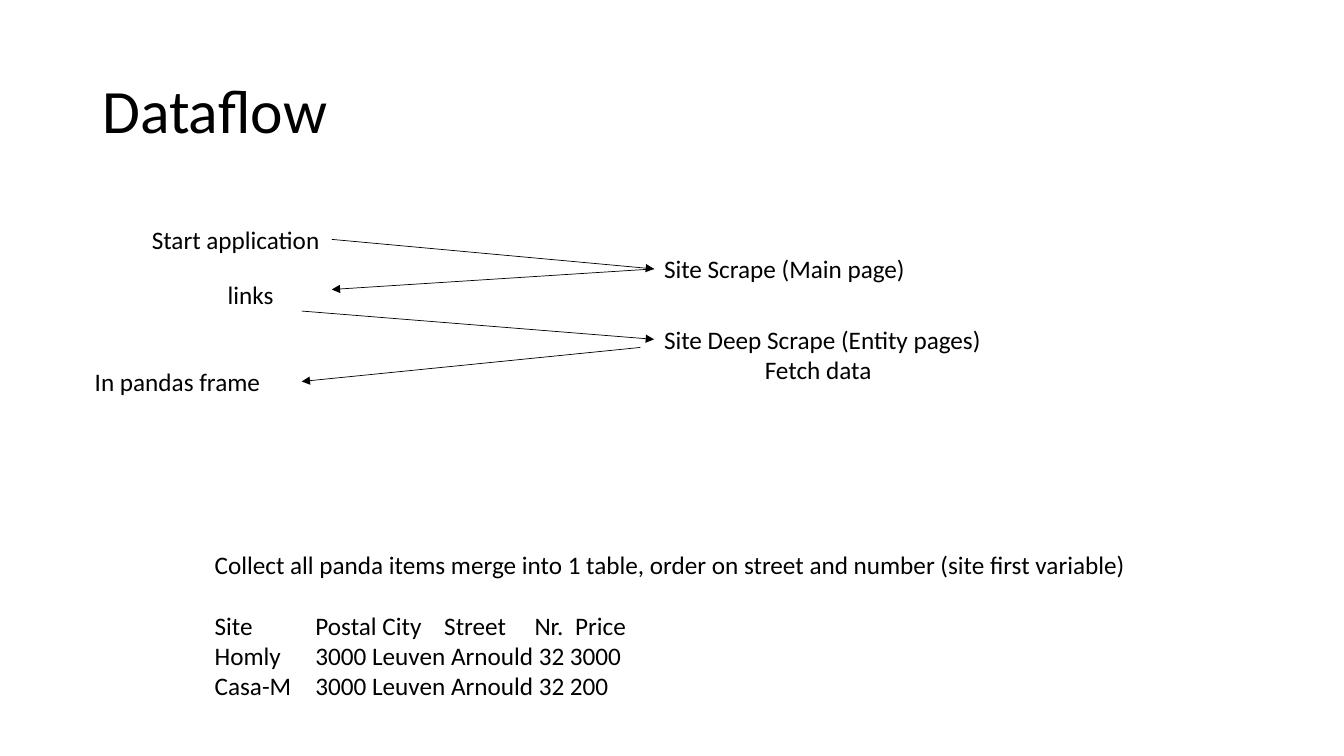
import pptx
import pptx.dml.color
import pptx.enum.shapes
import pptx.enum.text
import pptx.oxml.ns
import pptx.util
import lxml.etree

Pt = pptx.util.Pt
COLORS = {"ink": "000000", "paper": "FFFFFF"}


class DataflowSlide:
    font_name = "Calibri"
    text_size = 18
    line_width = 0.5

    def __init__(self, deck):
        self.slide = deck.slides.add_slide(deck.slide_layouts[6])
        fill = self.slide.background.fill
        fill.solid()
        fill.fore_color.rgb = self.color("paper")

    def color(self, name):
        return pptx.dml.color.RGBColor.from_string(COLORS[name])

    def style(self, para, size):
        para.font.name = self.font_name
        para.font.size = Pt(size)
        para.font.color.rgb = self.color("ink")

    def set_tabs(self, para, stops):
        properties = para._p.get_or_add_pPr()
        tab_list = lxml.etree.SubElement(properties, pptx.oxml.ns.qn("a:tabLst"))
        for stop in stops:
            lxml.etree.SubElement(
                tab_list, pptx.oxml.ns.qn("a:tab"), pos=str(Pt(stop)), algn="l"
            )

    def title(self, text, left, top, width, height):
        frame = self.slide.shapes.add_textbox(
            Pt(left), Pt(top), Pt(width), Pt(height)
        ).text_frame
        frame.word_wrap = True
        frame.vertical_anchor = pptx.enum.text.MSO_ANCHOR.MIDDLE
        para = frame.paragraphs[0]
        para.text = text
        para.line_spacing = 0.9
        self.style(para, 44)

    def text(self, lines, left, top, width, height, stops=(72,)):
        frame = self.slide.shapes.add_textbox(
            Pt(left), Pt(top), Pt(width), Pt(height)
        ).text_frame
        frame.word_wrap = False
        frame.auto_size = pptx.enum.text.MSO_AUTO_SIZE.SHAPE_TO_FIT_TEXT
        frame.text = "\n".join(lines)
        for para in frame.paragraphs:
            if "\t" in para.text:
                self.set_tabs(para, stops)
            self.style(para, self.text_size)
        return frame

    def arrow(self, start, end):
        line = self.slide.shapes.add_connector(
            pptx.enum.shapes.MSO_CONNECTOR.STRAIGHT, *map(Pt, start + end)
        )
        line.line.color.rgb = self.color("ink")
        line.line.width = Pt(self.line_width)
        lxml.etree.SubElement(
            line.line._get_or_add_ln(), pptx.oxml.ns.qn("a:tailEnd"), type="triangle"
        )
        lxml.etree.SubElement(
            line._element.spPr, pptx.oxml.ns.qn("a:effectLst")
        )


def main():
    deck = pptx.Presentation()
    deck.slide_width = Pt(960)
    deck.slide_height = Pt(540)
    page = DataflowSlide(deck)

    page.title("Dataflow", 66, 28.75, 828, 104.4)

    row_height = 29.1
    for label, left, top, width in (
        ("Start application", 101.3, 156.4, 135.4),
        ("Site Scrape (Main page)", 467.2, 177.6, 188.6),
        ("links", 155.6, 196, 47.5),
        ("In pandas frame", 60.6, 258, 133.9),
    ):
        page.text([label], left, top, width, row_height)
    page.text(
        ["Site Deep Scrape (Entity pages)", "\tFetch data"], 467.2, 227.8, 244.1, 50.9
    )

    main_page = (467.2, 192.1)
    for start, end in (
        ((237, 171), main_page),
        (main_page, (237, 206.8)),
        ((215.5, 222.2), (467.2, 242.4)),
        ((457.4, 248.2), (215.5, 272.5)),
    ):
        page.arrow(start, end)

    listing = page.text(
        [
            "Collect all panda items merge into 1 table, "
            "order on street and number (site first variable)",
            "Site\tPostal City\tStreet\tNr.\tPrice",
            "Homly\t3000 Leuven Arnould 32 3000",
            "Casa-M\t3000 Leuven Arnould 32 200",
        ],
        146.2, 388.7, 673.2, 116.6,
        stops=(72, 164, 228.5, 257.5),
    )
    listing.paragraphs[1].space_before = Pt(22)

    deck.save("out.pptx")


if __name__ == "__main__":
    main()
